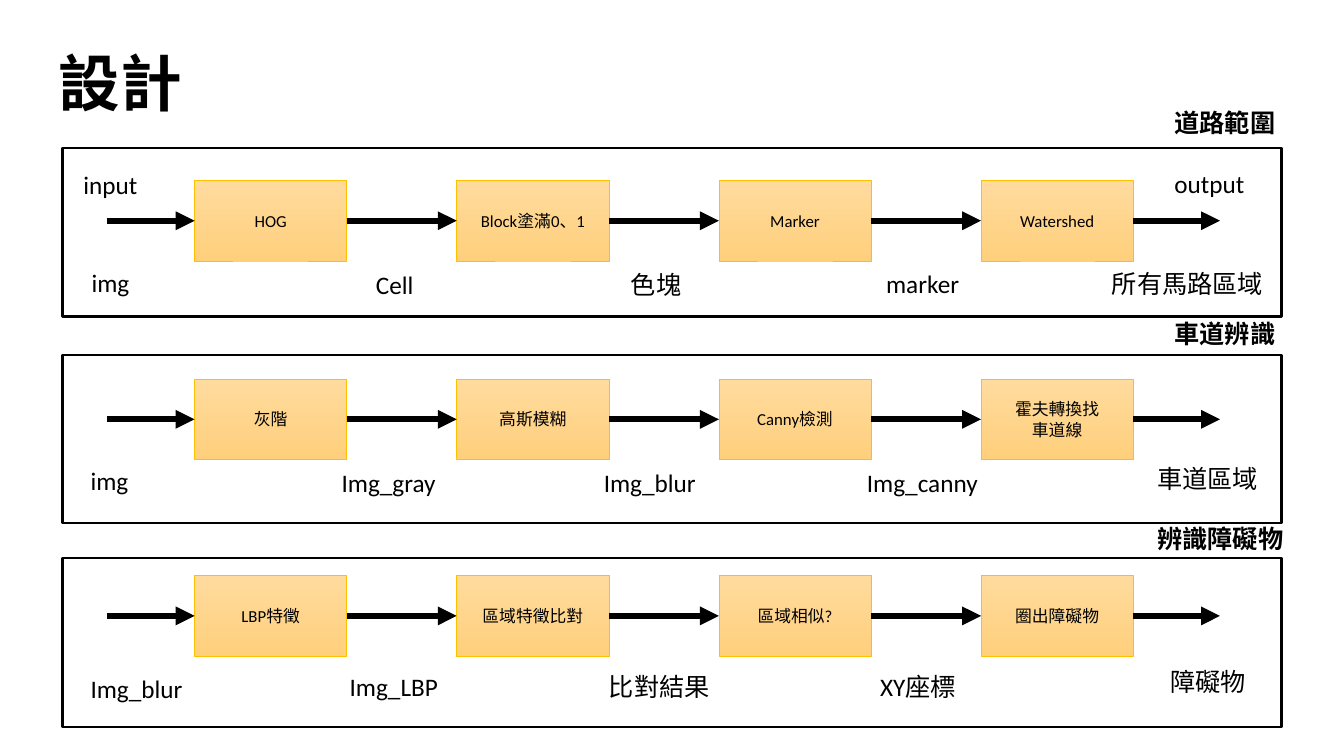
"""Build a slide with three image-processing pipelines, one framed lane each."""
from lxml import etree
from pptx import Presentation
from pptx import util as u
from pptx.dml.color import RGBColor
from pptx.enum import shapes, text
from pptx.oxml.ns import qn

BLACK = RGBColor(0x00, 0x00, 0x00)
GOLD = RGBColor(0xFF, 0xC0, 0x00)
LIGHT_ORANGE = RGBColor(0xFF, 0xDB, 0x9E)
DEEP_ORANGE = RGBColor(0xFF, 0xD0, 0x7C)
FONT = "Calibri"

TITLE = "設計"
LANES = [
    {
        "name": ("道路範圍", 11.55, 1.02, 1.75), "top": 1.47, "step_top": 1.79,
        "steps": ["HOG", "Block塗滿0、1", "Marker", "Watershed"],
        "labels": [
            ("input", 0.73, 1.63, 0.8), ("output", 11.55, 1.62, 1.16),
            ("img", 0.81, 2.6, 0.8), ("Cell", 3.63, 2.62, 1.26),
            ("色塊", 6.16, 2.62, 1.26), ("marker", 8.69, 2.61, 1.59),
            ("所有馬路區域", 10.93, 2.61, 1.95),
        ],
    },
    {
        "name": ("車道辨識", 11.55, 3.11, 1.75), "top": 3.52, "step_top": 3.76,
        "steps": ["灰階", "高斯模糊", "Canny檢測", "霍夫轉換找\n車道線"],
        "labels": [
            ("img", 0.8, 4.57, 0.8), ("Img_gray", 3.29, 4.59, 1.23),
            ("Img_blur", 5.89, 4.59, 1.23), ("Img_canny", 8.5, 4.59, 1.51),
            ("車道區域", 11.38, 4.55, 1.51),
        ],
    },
    {
        "name": ("辨識障礙物", 11.38, 5.14, 1.95), "top": 5.54, "step_top": 5.71,
        "steps": ["LBP特徵", "區域特徵比對", "區域相似?", "圈出障礙物"],
        "labels": [
            ("Img_blur", 0.8, 6.63, 1.23), ("Img_LBP", 3.37, 6.61, 1.23),
            ("比對結果", 5.94, 6.61, 1.23), ("XY座標", 8.63, 6.61, 1.23),
            ("障礙物", 11.51, 6.56, 1.23),
        ],
    },
]
LANE_LEFT, LANE_WIDTH, LANE_HEIGHT = 0.62, 12.09, 1.67
STEP_LEFT, STEP_PITCH, STEP_WIDTH, STEP_HEIGHT = 1.93, 2.6, 1.51, 0.8
FLOW_START, FLOW_END = 1.06, 12.1
LABEL_HEIGHT = 0.4


def inches(*lengths):
    return [u.Inches(length) for length in lengths]


def write(shape, content, size, bold=False, align=None):
    frame = shape.text_frame
    frame.word_wrap = True
    for index, line in enumerate(content.split("\n")):
        paragraph = frame.add_paragraph() if index else frame.paragraphs[0]
        paragraph.alignment = align
        run = paragraph.add_run()
        run.text = line
        run.font.name, run.font.size, run.font.bold = FONT, u.Pt(size), bold
        run.font.color.rgb = BLACK


def add_label(slide, content, left, top, width, bold=False):
    box = slide.shapes.add_textbox(*inches(left, top, width, LABEL_HEIGHT))
    write(box, content, 18, bold)


def add_rectangle(slide, left, top, width, height, color, weight):
    shape = slide.shapes.add_shape(
        shapes.MSO_SHAPE.RECTANGLE, *inches(left, top, width, height))
    shape.shadow.inherit = False
    shape.line.color.rgb, shape.line.width = color, u.Pt(weight)
    return shape


def add_step(slide, content, left, top):
    shape = add_rectangle(slide, left, top, STEP_WIDTH, STEP_HEIGHT, GOLD, 0.5)
    shape.fill.gradient()
    shape.fill.gradient_angle = 270
    for stop, color in zip(shape.fill.gradient_stops, (LIGHT_ORANGE, DEEP_ORANGE)):
        stop.color.rgb = color
    shape.text_frame.vertical_anchor = text.MSO_ANCHOR.MIDDLE
    write(shape, content, 12, align=text.PP_ALIGN.CENTER)
    return shape


def add_arrow(slide, source, target, middle):
    arrow = slide.shapes.add_connector(
        shapes.MSO_CONNECTOR.STRAIGHT, *inches(FLOW_START, middle, FLOW_END, middle))
    if source is not None:
        arrow.begin_connect(source, 3)
    if target is not None:
        arrow.end_connect(target, 1)
    arrow.line.color.rgb, arrow.line.width = BLACK, u.Pt(4.5)
    etree.SubElement(arrow.line._get_or_add_ln(), qn("a:tailEnd"), type="triangle")
    etree.SubElement(arrow._element.spPr, qn("a:effectLst"))


def add_lane(slide, lane):
    frame = add_rectangle(
        slide, LANE_LEFT, lane["top"], LANE_WIDTH, LANE_HEIGHT, BLACK, 1.5)
    frame.fill.background()
    steps = [add_step(slide, content, STEP_LEFT + column * STEP_PITCH, lane["step_top"])
             for column, content in enumerate(lane["steps"])]
    for source, target in zip([None] + steps, steps + [None]):
        add_arrow(slide, source, target, lane["step_top"] + STEP_HEIGHT / 2)
    for label in lane["labels"]:
        add_label(slide, *label)
    add_label(slide, *lane["name"], bold=True)


def main():
    presentation = Presentation()
    presentation.slide_width, presentation.slide_height = inches(13.33, 7.5)
    slide = presentation.slides.add_slide(presentation.slide_layouts[5])
    title = slide.shapes.title
    title.left, title.top, title.width, title.height = inches(0.48, 0.13, 11.5, 1.45)
    title.text_frame.vertical_anchor = text.MSO_ANCHOR.MIDDLE
    write(title, TITLE, 44, True, text.PP_ALIGN.LEFT)
    title.text_frame.paragraphs[0].line_spacing = 0.9
    for lane in LANES:
        add_lane(slide, lane)
    presentation.save("out.pptx")


if __name__ == "__main__":
    main()
